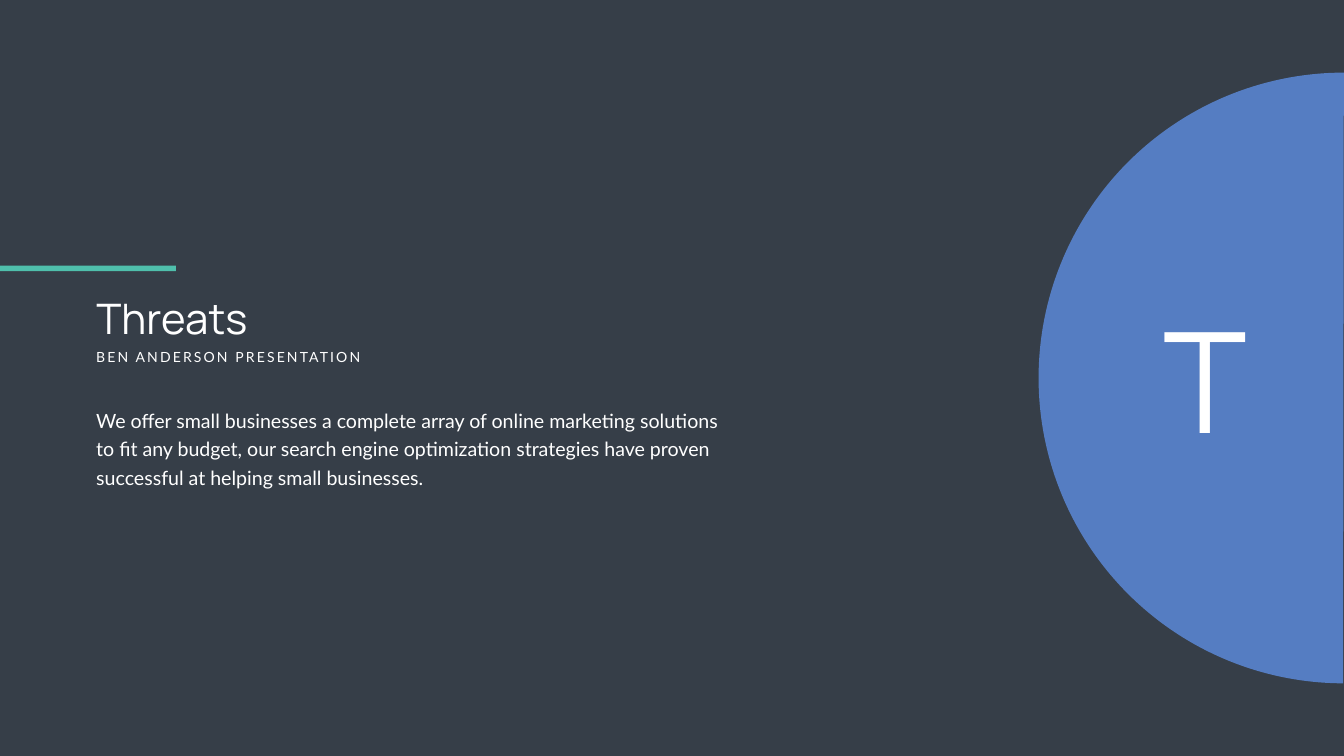
from pptx import Presentation
from pptx.dml.color import RGBColor
from pptx.enum.shapes import MSO_SHAPE
from pptx.enum.text import MSO_ANCHOR, MSO_AUTO_SIZE, PP_ALIGN
from pptx.util import Cm, Pt

SLIDE_WIDTH, SLIDE_HEIGHT = 67.72, 38.1
SLATE, BLUE, TEAL, WHITE = "363E48", "557DC2", "4FBFAC", "FFFFFF"
SUMMARY = (
    "We offer small businesses a complete array of online marketing solutions "
    "to fit any budget, our search engine optimization strategies have proven "
    "successful at helping small businesses."
)


def paint(fill, colour):
    """Make a fill solid in a hex colour."""
    fill.solid()
    fill.fore_color.rgb = RGBColor.from_string(colour)


def add_block(slide, preset, left, top, width, height, colour):
    """Add a plain preset shape without line or shadow."""
    block = slide.shapes.add_shape(preset, Cm(left), Cm(top), Cm(width), Cm(height))
    block.shadow.inherit = False
    block.line.fill.background()
    paint(block.fill, colour)
    return block


def write(holder, wording, size, font, align=PP_ALIGN.LEFT, leading=None, tracking=0):
    """Write one white paragraph into a text holder."""
    frame = holder.text_frame
    frame.word_wrap = True
    frame.auto_size = MSO_AUTO_SIZE.SHAPE_TO_FIT_TEXT
    frame.vertical_anchor = MSO_ANCHOR.TOP
    paragraph = frame.paragraphs[0]
    paragraph.alignment = align
    if leading:
        paragraph.line_spacing = Pt(leading)
    run = paragraph.add_run()
    run.text = wording
    run.font.size = Pt(size)
    run.font.name = font
    paint(run.font.fill, WHITE)
    if tracking:
        run.font._element.set("spc", str(tracking * 100))


def add_text(slide, left, top, width, height, wording, size, font, **style):
    """Add a text box with one paragraph."""
    box = slide.shapes.add_textbox(Cm(left), Cm(top), Cm(width), Cm(height))
    write(box, wording, size, font, **style)


def add_letter_badge(slide, left, top, diameter, letter):
    """Draw the half circle with its large letter."""
    half_circle = add_block(slide, MSO_SHAPE.CHORD, left, top, diameter, diameter, BLUE)
    half_circle.adjustments[0] = 27.105
    half_circle.adjustments[1] = 134.977
    half_circle.rotation = 45
    add_text(slide, left + 3.76, top + 11, 9.32, 8.81, letter, 200, "Manrope",
             align=PP_ALIGN.CENTER)


def add_message(slide, left, top, width):
    """Place the accent bar, title, subtitle and summary."""
    add_block(slide, MSO_SHAPE.RECTANGLE, 0, top, 8.86, 0.28, TEAL)
    title = slide.shapes.title
    title.left, title.top = Cm(left), Cm(top + 1.24)
    title.width, title.height = Cm(24.79), Cm(2.82)
    write(title, "Threats", 60, "Manrope")
    add_text(slide, left, top + 4.06, 14.86, 1.12, "BEN ANDERSON PRESENTATION",
             20, "Lato", tracking=3)
    add_text(slide, left, top + 6.83, width, 4.5, SUMMARY, 28, "Lato", leading=40.8)


def main():
    """Build the slide and save it."""
    deck = Presentation()
    deck.slide_width, deck.slide_height = Cm(SLIDE_WIDTH), Cm(SLIDE_HEIGHT)
    slide = deck.slides.add_slide(deck.slide_layouts[5])
    paint(slide.background.fill, SLATE)
    diameter = 30.78
    add_letter_badge(slide, SLIDE_WIDTH - diameter / 2, (SLIDE_HEIGHT - diameter) / 2,
                     diameter, "T")
    add_message(slide, 4.6, 13.39, 32.28)
    deck.save("out.pptx")


if __name__ == "__main__":
    main()
